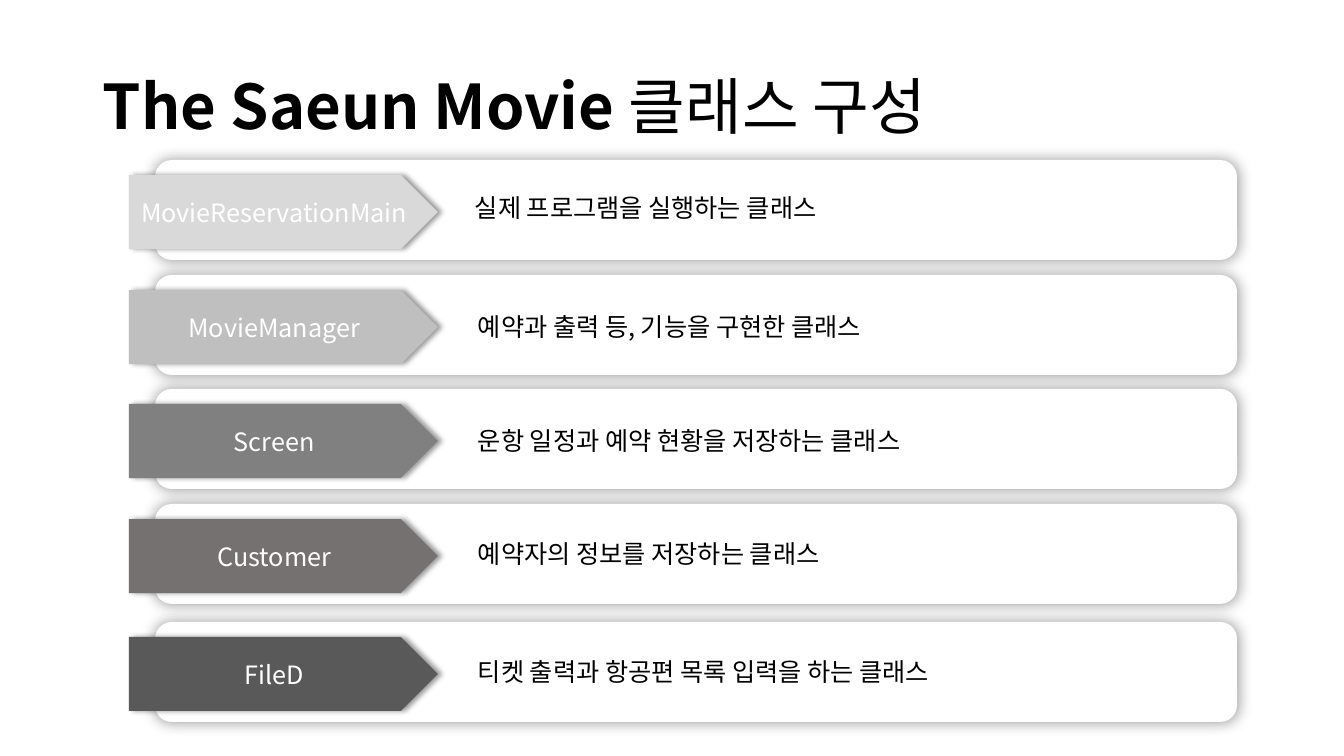
from lxml import etree
from pptx import Presentation
from pptx import util as u
from pptx.dml.color import RGBColor
from pptx.enum import shapes, text
from pptx.oxml.ns import qn

BLACK = RGBColor(0x00, 0x00, 0x00)
WHITE = RGBColor(0xFF, 0xFF, 0xFF)
LIGHT_GRAY = RGBColor(0xD9, 0xD9, 0xD9)
SILVER = RGBColor(0xBF, 0xBF, 0xBF)
MID_GRAY = RGBColor(0x80, 0x80, 0x80)
WARM_GRAY = RGBColor(0x76, 0x71, 0x71)
DARK_GRAY = RGBColor(0x59, 0x59, 0x59)

SLIDE_W, SLIDE_H = 1344, 756
EMU_PER_PX = 12192000 / SLIDE_W


def px(length):
    return u.Emu(round(length * EMU_PER_PX))


def write(paragraph, content, *, font, size=18, color=BLACK, bold=False):
    """Add one formatted run, for Latin and Korean letters alike."""
    run = paragraph.add_run()
    run.text = content
    run.font.name = font
    run.font.size = u.Pt(size)
    run.font.bold = bold
    run.font.color.rgb = color
    korean = etree.SubElement(run.font._element, qn("a:ea"))
    korean.set("typeface", font)


class ClassSlide:
    font = "Noto Sans CJK KR"

    def __init__(self, deck):
        self.slide = deck.slides.add_slide(deck.slide_layouts[6])

    def text_box(self, left, top, width, height):
        box = self.slide.shapes.add_textbox(px(left), px(top), px(width), px(height))
        box.text_frame.word_wrap = True
        return box.text_frame

    def title(self, name, rest):
        frame = self.text_box(93, 37, 1159, 146)
        frame.vertical_anchor = text.MSO_ANCHOR.MIDDLE
        heading = frame.paragraphs[0]
        heading.line_spacing = 0.9
        write(heading, name, font=self.font, size=44, bold=True)
        write(heading, rest, font=self.font, size=44)

    def shadowed(self, kind, left, top, width, height, fill, blur, distance=0):
        shape = self.slide.shapes.add_shape(
            kind, px(left), px(top), px(width), px(height))
        shape.fill.solid()
        shape.fill.fore_color.rgb = fill
        shape.line.fill.background()
        # Soft black shadow at 40 % opacity
        shape.shadow.inherit = False
        effects = shape._element.spPr.find(qn("a:effectLst"))
        shadow = etree.SubElement(
            effects, qn("a:outerShdw"), blurRad=str(u.Pt(blur)),
            dist=str(u.Pt(distance)), dir="0", algn="ctr", rotWithShape="0")
        black = etree.SubElement(shadow, qn("a:srgbClr"), val=str(BLACK))
        etree.SubElement(black, qn("a:alpha"), val="40000")
        return shape

    def card(self, top):
        self.shadowed(shapes.MSO_SHAPE.ROUNDED_RECTANGLE,
                      155, top, 1082, 100, WHITE, blur=10)

    def arrow(self, top, class_name, fill):
        arrow = self.shadowed(shapes.MSO_SHAPE.PENTAGON,
                              129, top, 309, 74, fill, blur=4, distance=3)
        frame = arrow.text_frame
        frame.word_wrap = True
        frame.vertical_anchor = text.MSO_ANCHOR.MIDDLE
        label = frame.paragraphs[0]
        label.alignment = text.PP_ALIGN.CENTER
        write(label, class_name, font=self.font, color=WHITE)

    def description(self, left, top, width, content):
        frame = self.text_box(left, top, width, 40)
        frame.auto_size = text.MSO_AUTO_SIZE.SHAPE_TO_FIT_TEXT
        write(frame.paragraphs[0], content, font=self.font)


# Card top, class name, arrow colour, then description left, offset, width, text
CLASSES = [
    (160, "MovieReservationMain", LIGHT_GRAY,
     465, 27, 412, "실제 프로그램을 실행하는 클래스"),
    (275, "MovieManager", SILVER,
     468, 31, 494, "예약과 출력 등, 기능을 구현한 클래스"),
    (389, "Screen", MID_GRAY,
     468, 31, 494, "운항 일정과 예약 현황을 저장하는 클래스"),
    (504, "Customer", WARM_GRAY,
     468, 29, 494, "예약자의 정보를 저장하는 클래스"),
    (622, "FileD", DARK_GRAY,
     468, 29, 748, "티켓 출력과 항공편 목록 입력을 하는 클래스"),
]


def main():
    deck = Presentation()
    deck.slide_width, deck.slide_height = px(SLIDE_W), px(SLIDE_H)
    overview = ClassSlide(deck)

    # Heading
    overview.title("The Saeun Movie", " 클래스 구성")

    # One row per class
    for top, class_name, fill, left, offset, width, role in CLASSES:
        overview.card(top)
        overview.arrow(top + 15, class_name, fill)
        overview.description(left, top + offset, width, role)

    deck.save("out.pptx")


if __name__ == "__main__":
    main()
